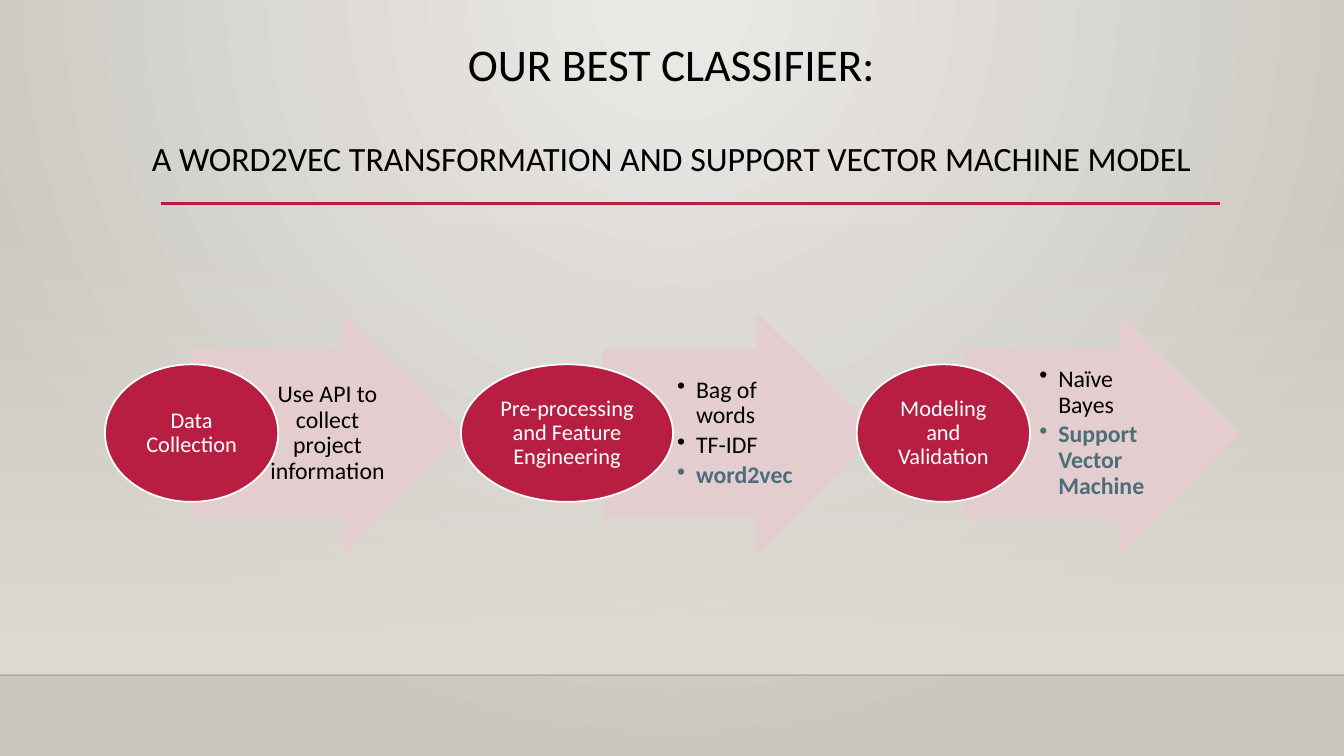
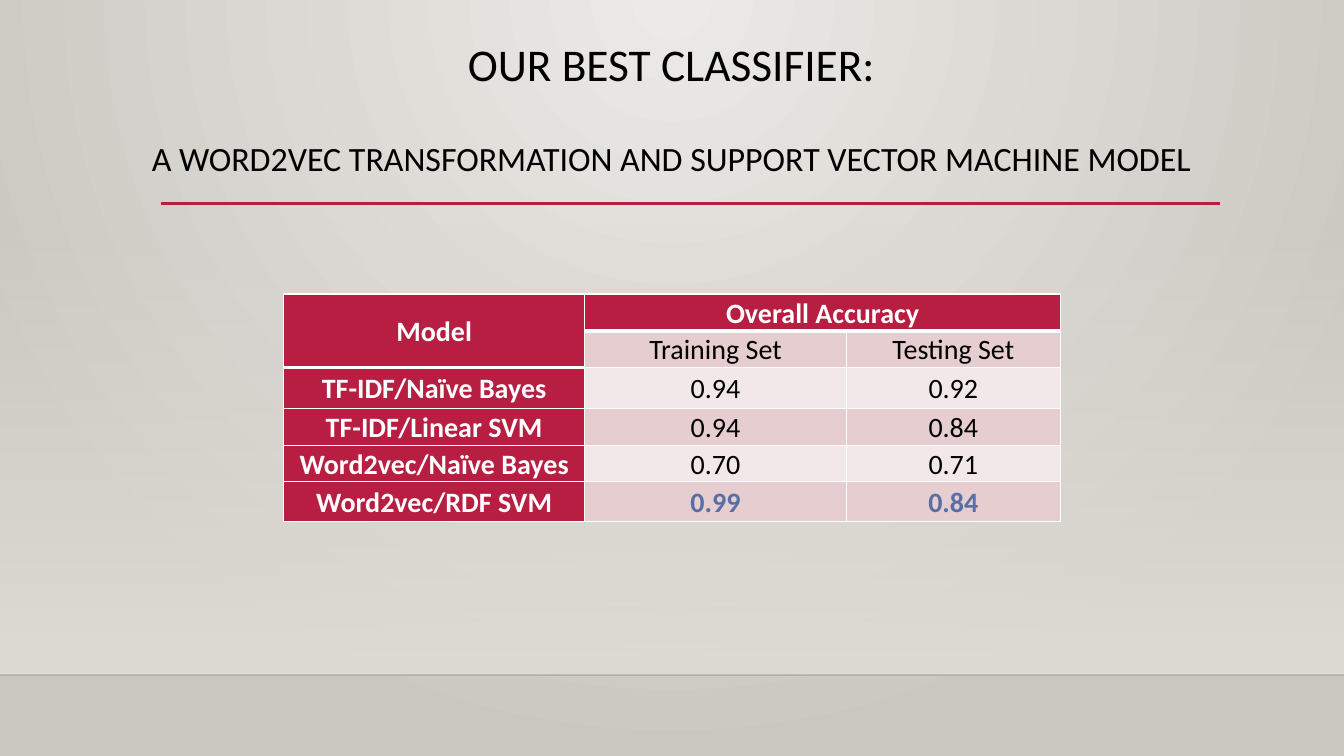
import lxml.etree
import pptx
import pptx.dml.color
import pptx.enum.shapes
import pptx.enum.text
import pptx.oxml.ns
import pptx.util

SCALE = 9525
COLORS = {
    "black": "000000",
    "white": "FFFFFF",
    "crimson": "B71E42",
    "rose": "E6CDCF",
    "blush": "F3E8E9",
    "teal": "4C6E7A",
    "blue": "586EA6",
    "edge": "000001",
    "floor": "DFDBD5",
    "light": "ECEAE7",
    "shade": "CAC7C1",
}
SHAPES = pptx.enum.shapes.MSO_SHAPE
CENTER = pptx.enum.text.PP_ALIGN.CENTER
LEFT = pptx.enum.text.PP_ALIGN.LEFT
MIDDLE = pptx.enum.text.MSO_ANCHOR.MIDDLE
qn = pptx.oxml.ns.qn


def px(value):
    return pptx.util.Emu(value * SCALE)


def color(name):
    return pptx.dml.color.RGBColor.from_string(COLORS[name])


def fade(element, percent):
    for tint in element.xpath(".//a:srgbClr"):
        lxml.etree.SubElement(tint, qn("a:alpha"), val=str(percent * 1000))


class Sheet:
    font = "Calibri"

    def __init__(self):
        self.deck = pptx.Presentation()
        self.deck.slide_width = px(1280)
        self.deck.slide_height = px(720)
        self.layout = self.deck.slide_layouts[5]
        self.page = None

    def new_page(self):
        self.page = self.deck.slides.add_slide(self.layout)
        if len(self.deck.slides) == 1:
            self.dress_layout()

    def dress_layout(self):
        backdrop = self.layout.background.fill
        self.gradient(backdrop, "light", "shade")
        linear = self.layout.element.xpath(".//p:bg//a:lin")[0]
        radial = lxml.etree.Element(qn("a:path"), path="circle")
        lxml.etree.SubElement(radial, qn("a:fillToRect"), l="43000", t="0", r="43000", b="100000")
        linear.getparent().replace(linear, radial)

        wall = self.shape(SHAPES.RECTANGLE, 0, 212, 1280, 431)
        self.gradient(wall.fill, "floor", "floor")
        wall.fill.gradient_angle = 270
        fade(wall.element.xpath(".//a:gs")[0], 0)
        edge = self.line(0, 643, 1280, "edge", 1)
        fade(edge.element, 20)
        rule = self.line(153, 194, 1162, "crimson", 2.5)

        tree = self.layout.shapes.element
        for index, piece in enumerate((wall, edge, rule)):
            piece.element.xpath("./*/p:cNvPr")[0].set("id", str(100 + index))
            tree.insert(2 + index, piece.element)

    def gradient(self, fill, *names):
        fill.gradient()
        for position, (stop, name) in enumerate(zip(fill.gradient_stops, names)):
            stop.color.rgb = color(name)
            stop.position = position

    def shape(self, kind, left, top, width, height, fill=None, line=None):
        shape = self.page.shapes.add_shape(kind, px(left), px(top), px(width), px(height))
        shape.shadow.inherit = False
        if fill:
            shape.fill.solid()
            shape.fill.fore_color.rgb = color(fill)
        if line:
            shape.line.color.rgb = color(line)
            shape.line.width = pptx.util.Pt(1.25)
        else:
            shape.line.fill.background()
        return shape

    def line(self, left, top, right, name, weight):
        line = self.page.shapes.add_connector(
            pptx.enum.shapes.MSO_CONNECTOR.STRAIGHT, px(left), px(top), px(right), px(top))
        line.line.color.rgb = color(name)
        line.line.width = pptx.util.Pt(weight)
        lxml.etree.SubElement(line.element.xpath("./p:spPr")[0], qn("a:effectLst"))
        return line

    def span(self, para, text, size, name, bold=False):
        span = para.add_run()
        span.text = text
        span.font.name = self.font
        span.font.size = pptx.util.Pt(size)
        span.font.bold = bold
        span.font.color.rgb = color(name)

    def paragraphs(self, frame, lines, align=CENTER, spacing=0.9, after=0):
        frame.word_wrap = True
        frame.vertical_anchor = MIDDLE
        for index, line in enumerate(lines):
            para = frame.add_paragraph() if index else frame.paragraphs[0]
            para.alignment = align
            para.line_spacing = spacing
            para.space_after = pptx.util.Pt(after)
            self.span(para, *line)

    def margins(self, target, left, top, right, bottom):
        target.margin_left, target.margin_top = px(left), px(top)
        target.margin_right, target.margin_bottom = px(right), px(bottom)

    def title(self, heading, subheading):
        title = self.page.shapes.title
        title.left, title.top, title.width, title.height = px(65), px(36), px(1149), px(139)
        frame = title.text_frame
        frame.auto_size = pptx.enum.text.MSO_AUTO_SIZE.NONE
        self.paragraphs(frame, [(heading, 32.4, "black"), (subheading, 24.3, "black")])
        frame.paragraphs[1].space_before = pptx.util.Pt(36)

    def arrow(self, left, lines, bulleted):
        arrow = self.shape(SHAPES.RIGHT_ARROW, left, 299, 260, 228, "rose", "rose")
        arrow.adjustments[0], arrow.adjustments[1] = 0.7, 0.5
        fade(arrow.element, 90)
        box = self.page.shapes.add_textbox(px(left + 65), px(333), px(127), px(159))
        self.margins(box.text_frame, 5, 1, 2, 1)
        if not bulleted:
            self.paragraphs(box.text_frame, lines)
            return
        self.paragraphs(box.text_frame, lines, LEFT, after=3)
        for settings in box.element.xpath(".//a:pPr"):
            settings.set("marL", str(px(18)))
            settings.set("indent", str(px(-18)))
            lxml.etree.SubElement(settings, qn("a:buChar"), char="•")

    def stage(self, left, width, label):
        oval = self.shape(SHAPES.OVAL, left, 347, width, 131, "crimson", "white")
        self.margins(oval.text_frame, 1, 1, 1, 1)
        self.paragraphs(oval.text_frame, [(label, 16, "white")])

    def table(self, left, top, widths, heights, rows):
        holder = self.page.shapes.add_table(
            len(rows), len(widths), px(left), px(top), px(sum(widths)), px(sum(heights)))
        table = holder.table
        table.first_row = table.horz_banding = False
        for column, width in zip(table.columns, widths):
            column.width = px(width)
        for row, height in zip(table.rows, heights):
            row.height = px(height)
        table.cell(0, 0).merge(table.cell(1, 0))
        table.cell(0, 1).merge(table.cell(0, 2))
        for row, texts in enumerate(rows):
            for column, text in enumerate(texts):
                self.cell(table.cell(row, column), row, column, text, row == len(rows) - 1)
        for index, settings in enumerate(holder.element.xpath(".//a:tcPr")):
            self.borders(settings, *divmod(index, len(widths)))

    def cell(self, cell, row, column, text, best):
        header = row == 0 or column == 0
        cell.fill.solid()
        cell.fill.fore_color.rgb = color("crimson" if header else "rose" if row % 2 else "blush")
        self.margins(cell, 7, 0, 7, 0)
        cell.vertical_anchor = MIDDLE
        if text:
            name = "white" if header else "blue" if best else "black"
            para = cell.text_frame.paragraphs[0]
            para.alignment = CENTER
            para.line_spacing = 1.07
            self.span(para, text, 20, name, header or best)

    def borders(self, settings, row, column):
        def weight_below(line):
            return 3 if line == 0 or (line, column) == (1, 0) else 1

        weights = {"L": 1, "R": 1, "T": weight_below(row - 1), "B": weight_below(row)}
        for index, (side, weight) in enumerate(weights.items()):
            border = lxml.etree.Element(qn("a:ln" + side), w=str(pptx.util.Pt(weight)))
            fill = lxml.etree.SubElement(border, qn("a:solidFill"))
            lxml.etree.SubElement(fill, qn("a:srgbClr"), val=COLORS["white"])
            settings.insert(index, border)


def main():
    sheet = Sheet()
    heading = ("OUR BEST CLASSIFIER:", "A WORD2VEC TRANSFORMATION AND SUPPORT VECTOR MACHINE MODEL")

    sheet.new_page()
    sheet.title(*heading)
    stages = [
        (182, 100, 165, "Data Collection", ["Use API to collect project information"]),
        (575, 439, 202, "Pre-processing and Feature Engineering", ["Bag of words", "TF-IDF", "word2vec"]),
        (920, 816, 165, "Modeling and Validation", ["Naïve Bayes", "Support Vector Machine"]),
    ]
    for arrow_left, oval_left, oval_width, label, steps in stages:
        bulleted = len(steps) > 1
        lines = [(step, 17, "black") for step in steps]
        if bulleted:
            lines[-1] = (steps[-1], 17, "teal", True)
        sheet.arrow(arrow_left, lines, bulleted)
        sheet.stage(oval_left, oval_width, label)

    sheet.new_page()
    sheet.title(*heading)
    sheet.table(270, 280, [287, 249, 204], [35, 35, 39, 35, 35, 38], [
        ("Model", "Overall Accuracy", ""),
        ("", "Training Set", "Testing Set"),
        ("TF-IDF/Naïve Bayes", "0.94", "0.92"),
        ("TF-IDF/Linear SVM", "0.94", "0.84"),
        ("Word2vec/Naïve Bayes", "0.70", "0.71"),
        ("Word2vec/RDF SVM", "0.99", "0.84"),
    ])
    sheet.deck.save("out.pptx")


if __name__ == "__main__":
    main()
